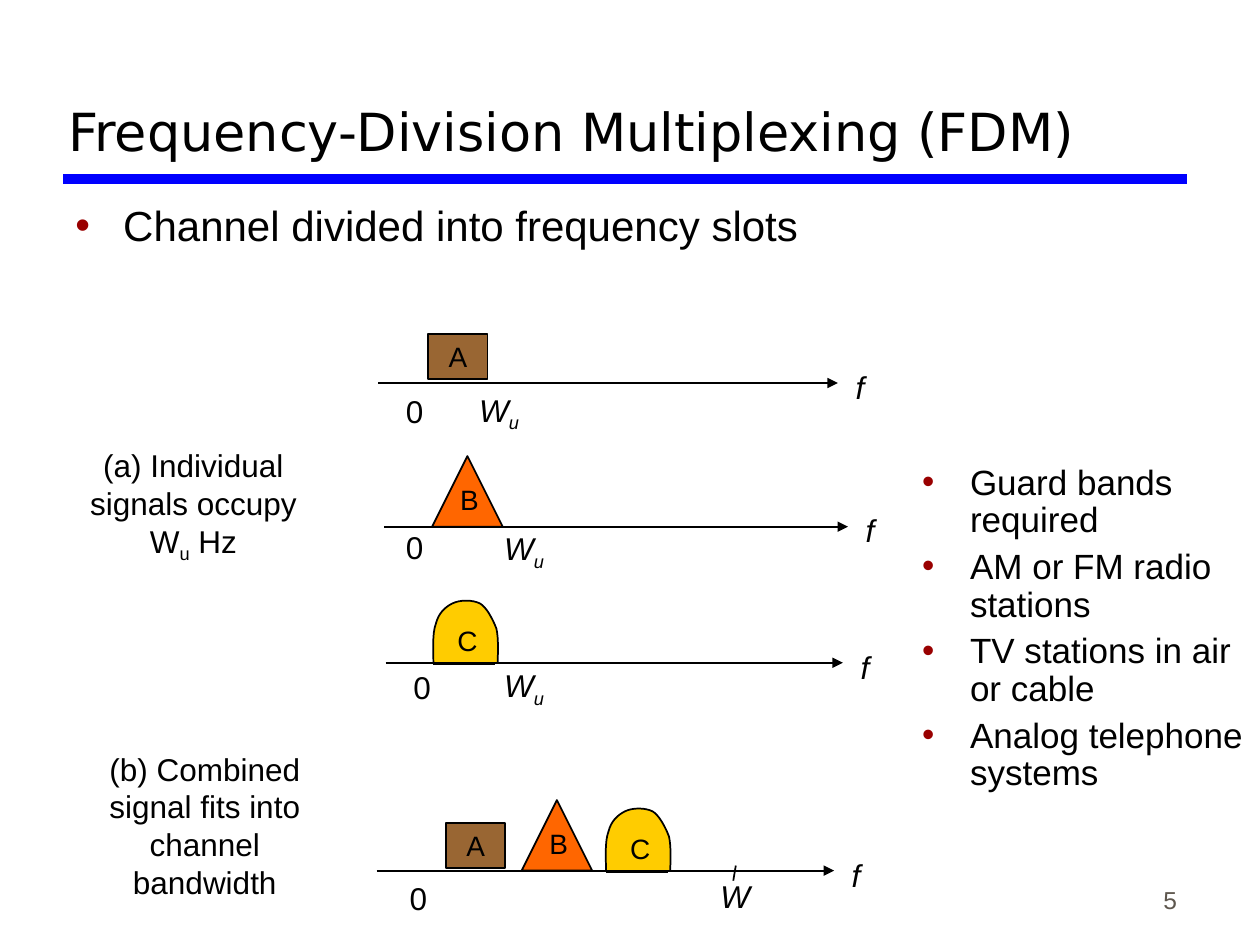
from dataclasses import dataclass

from lxml import etree
from pptx import Presentation
from pptx import util as u
from pptx.dml.color import RGBColor
from pptx.enum import shapes, text
from pptx.oxml.ns import qn


@dataclass(frozen=True)
class Theme:
    """Colours, fonts and type sizes of the slide."""
    ink: str = "000000"
    rule: str = "0000FF"
    bullet: str = "990000"
    number: str = "5E574E"
    signal_a: str = "996633"
    signal_b: str = "FF6600"
    signal_c: str = "FFCC00"
    body_font: str = "Arial"
    title_font: str = "DejaVu Sans"
    title_size: int = 30
    lead_size: int = 24
    list_size: int = 20
    label_size: int = 18
    signal_size: int = 16
    number_size: int = 14


BELL_START = (0.01, 0.51)
BELL_CURVES = [
    [(0.01, 0.39), (0, 0.27), (0.03, 0.19)],
    [(0.05, 0.11), (0.1, 0.06), (0.16, 0.03)],
    [(0.22, 0), (0.32, 0), (0.38, 0.03)],
    [(0.43, 0.06), (0.48, 0.15), (0.51, 0.23)],
    [(0.53, 0.31), (0.52, 0.46), (0.52, 0.51)],
]


def bell_points(steps=8):
    """Return points along the bell outline, in inches from its corner."""
    points = [BELL_START]
    for curve in BELL_CURVES:
        knots = [points[-1], *curve]
        for step in range(1, steps + 1):
            t = step / steps
            weights = ((1 - t) ** 3, 3 * t * (1 - t) ** 2, 3 * t * t * (1 - t), t ** 3)
            points.append(tuple(sum(w * k[axis] for w, k in zip(weights, knots))
                                for axis in (0, 1)))
    return points


class SlideBuilder:
    """Draws themed elements on the current slide."""

    def __init__(self, slide, theme):
        self.slide, self.theme = slide, theme

    def style(self, run, size, color=None, font=None, italic=False):
        """Format one run."""
        run.font.size = u.Pt(size)
        run.font.name = font or self.theme.body_font
        run.font.color.rgb = RGBColor.from_string(color or self.theme.ink)
        run.font.italic = italic

    def title(self, wording, left, top, width, height):
        """Place the title placeholder."""
        heading = self.slide.shapes.title
        heading.left, heading.top = u.Inches(left), u.Inches(top)
        heading.width, heading.height = u.Inches(width), u.Inches(height)
        frame = heading.text_frame
        frame.text = wording
        frame.vertical_anchor = text.MSO_ANCHOR.BOTTOM
        frame.paragraphs[0].alignment = text.PP_ALIGN.LEFT
        self.style(frame.paragraphs[0].runs[0], self.theme.title_size,
                   font=self.theme.title_font)

    def box(self, left, top, width, height, wrap=True):
        """Add an empty text box and return its frame."""
        frame = self.slide.shapes.add_textbox(
            u.Inches(left), u.Inches(top), u.Inches(width), u.Inches(height)).text_frame
        frame.word_wrap = wrap
        return frame

    def label(self, wording, left, top, width, height=0.4, size=None, italic=False,
              subscript="", after="", wrap=False):
        """Add centred text with an optional subscript and what follows it."""
        frame = self.box(left, top, width, height, wrap)
        frame.vertical_anchor = text.MSO_ANCHOR.MIDDLE
        line = frame.paragraphs[0]
        line.alignment = text.PP_ALIGN.CENTER
        line.text = wording
        for extra in filter(None, (subscript, after)):
            line.add_run().text = extra
        for run in line.runs:
            self.style(run, size or self.theme.label_size, italic=italic)
        if subscript:
            line.runs[1].font._element.set("baseline", "-25000")

    def number(self, wording, left, top, width, height):
        """Add the slide number."""
        frame = self.box(left, top, width, height)
        frame.vertical_anchor = text.MSO_ANCHOR.BOTTOM
        frame.text = wording
        frame.paragraphs[0].alignment = text.PP_ALIGN.RIGHT
        self.style(frame.paragraphs[0].runs[0], self.theme.number_size, self.theme.number)

    def bullets(self, items, left, top, width, height, size, gap=0):
        """Add a bulleted list."""
        frame = self.box(left, top, width, height)
        frame.text = "\n".join(items)
        for index, item in enumerate(frame.paragraphs):
            props = item._p.get_or_add_pPr()
            props.set("marL", str(u.Inches(0.38)))
            props.set("indent", str(-u.Inches(0.38)))
            tint = etree.SubElement(props, qn("a:buClr"))
            etree.SubElement(tint, qn("a:srgbClr"), val=self.theme.bullet)
            etree.SubElement(props, qn("a:buFont"), typeface=self.theme.body_font)
            etree.SubElement(props, qn("a:buChar"), char="•")
            item.line_spacing = 0.9
            if index:
                item.space_before = u.Pt(gap)
            self.style(item.runs[0], size)

    def line(self, x1, y1, x2, y2, color=None, weight=1, arrow=False):
        """Add a straight line, with an arrowhead at its end if asked."""
        stroke = self.slide.shapes.add_connector(
            shapes.MSO_CONNECTOR.STRAIGHT,
            u.Inches(x1), u.Inches(y1), u.Inches(x2), u.Inches(y2))
        stroke.line.color.rgb = RGBColor.from_string(color or self.theme.ink)
        stroke.line.width = u.Pt(weight)
        if arrow:
            etree.SubElement(stroke.line._get_or_add_ln(), qn("a:tailEnd"), type="triangle")
        etree.SubElement(stroke._element.spPr, qn("a:effectLst"))

    def paint(self, signal, color):
        """Fill and outline a signal shape."""
        signal.shadow.inherit = False
        signal.fill.solid()
        signal.fill.fore_color.rgb = RGBColor.from_string(color)
        signal.line.color.rgb = RGBColor.from_string(self.theme.ink)
        signal.line.width = u.Pt(1)

    def preset(self, kind, left, top, width, height, color):
        """Add a painted preset shape."""
        signal = self.slide.shapes.add_shape(
            kind, u.Inches(left), u.Inches(top), u.Inches(width), u.Inches(height))
        self.paint(signal, color)
        return signal

    def signal_a(self, left, top):
        """Add the rectangular signal A."""
        block = self.preset(shapes.MSO_SHAPE.RECTANGLE, left, top, 0.47, 0.36,
                            self.theme.signal_a)
        frame = block.text_frame
        frame.text = "A"
        frame.paragraphs[0].alignment = text.PP_ALIGN.CENTER
        self.style(frame.paragraphs[0].runs[0], self.theme.signal_size)

    def signal_b(self, left, top):
        """Add the triangular signal B."""
        self.preset(shapes.MSO_SHAPE.ISOSCELES_TRIANGLE, left, top, 0.56, 0.56,
                    self.theme.signal_b)
        self.label("B", left + 0.12, top + 0.16, 0.35, 0.36, self.theme.signal_size)

    def signal_c(self, left, top):
        """Add the bell-shaped signal C."""
        start, *rest = [(u.Inches(left + x), u.Inches(top + y)) for x, y in bell_points()]
        outline = self.slide.shapes.build_freeform(*start)
        outline.add_line_segments(rest, close=False)
        self.paint(outline.convert_to_shape(), self.theme.signal_c)
        self.line(left + 0.01, top + 0.51, left + 0.5, top + 0.51)
        self.label("C", left + 0.07, top + 0.14, 0.42, 0.36, self.theme.signal_size)

    def axis(self, start, tip, level, zero_left, zero_top):
        """Add a frequency axis with its name and origin."""
        self.line(start, level, tip, level, arrow=True)
        self.label("f", tip + 0.04, level - 0.17, 0.27, italic=True)
        self.label("0", zero_left, zero_top, 0.34)


def main():
    """Build the slide and save it."""
    deck = Presentation()
    deck.slide_width, deck.slide_height = u.Inches(10), u.Inches(7.5)
    theme = Theme()
    page = SlideBuilder(deck.slides.add_slide(deck.slide_layouts[5]), theme)

    page.line(0.5, 1.42, 9.42, 1.42, theme.rule, 6)
    page.title("Frequency-Division Multiplexing (FDM)", 0.44, 0.17, 8.97, 1.17)
    page.number("5", 7.36, 6.81, 2.08, 0.5)
    page.bullets(["Channel divided into frequency slots"], 0.5, 1.58, 9.17, 0.66,
                 theme.lead_size)
    page.bullets(["Guard bands required", "AM or FM radio stations",
                  "TV stations in air or cable", "Analog telephone systems"],
                 7.22, 3.64, 2.78, 3.53, theme.list_size, gap=5)
    page.label("(a) Individual signals occupy W", 0.58, 3.49, 1.91, 1.04,
               subscript="u", after=" Hz", wrap=True)
    page.label("(b) Combined signal fits into channel bandwidth", 0.62, 5.9, 2.01, 1.3,
               wrap=True)

    for draw, left, top in [(page.signal_a, 3.4, 2.65), (page.signal_b, 3.43, 3.62),
                            (page.signal_c, 3.43, 4.76), (page.signal_a, 3.54, 6.53),
                            (page.signal_b, 4.14, 6.35), (page.signal_c, 4.8, 6.41)]:
        draw(left, top)
    for axis in [(3, 6.65, 3.04, 3.12, 3.06), (3.05, 6.73, 4.18, 3.12, 4.14),
                 (3.06, 6.69, 5.26, 3.18, 5.25), (2.99, 6.62, 6.91, 3.15, 6.93)]:
        page.axis(*axis)
    for left, top, width in [(3.67, 3.05, 0.58), (3.82, 4.15, 0.68), (3.83, 5.24, 0.66)]:
        page.label("W", left, top, width, 0.44, italic=True, subscript="u")
    page.line(5.84, 6.87, 5.82, 6.99)
    page.label("W", 5.62, 6.91, 0.43, italic=True)

    deck.save("out.pptx")


if __name__ == "__main__":
    main()
